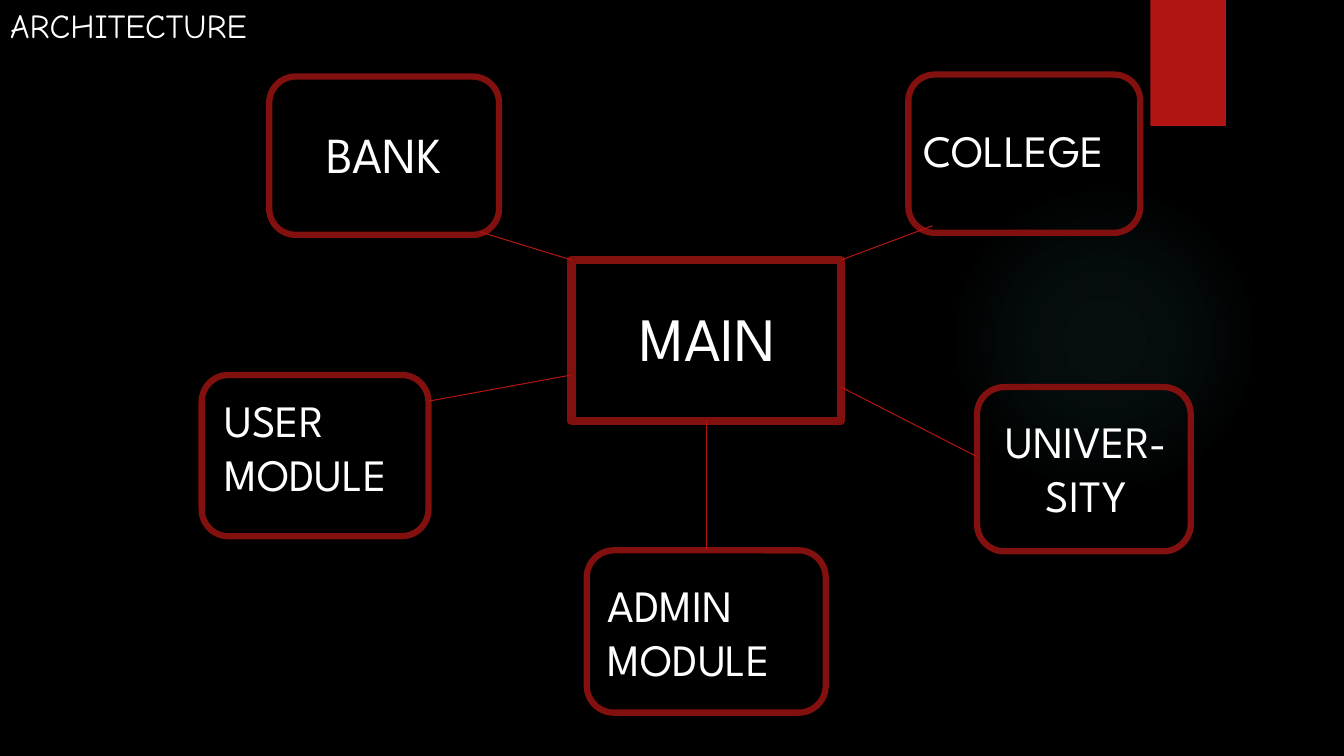
from dataclasses import dataclass

from lxml import etree
from pptx import Presentation
from pptx.dml.color import RGBColor as RGB
from pptx.enum.shapes import MSO_CONNECTOR as CONN, MSO_SHAPE as SHAPE
from pptx.enum.text import MSO_ANCHOR as ANCHOR, MSO_AUTO_SIZE as AUTO, PP_ALIGN as ALIGN
from pptx.oxml import parse_xml
from pptx.oxml.ns import nsdecls, qn
from pptx.util import Inches, Pt


@dataclass(frozen=True)
class Theme:
    background: str = "000000"
    text: str = "FFFFFF"
    accent: str = "B01513"
    border: str = "82100E"
    glow: str = "50B9C1"
    title_font: str = "Comic Neue"
    label_font: str = "League Spartan"
    title_size: int = 24
    label_size: int = 32
    bank_size: int = 36
    main_size: int = 44
    node_line: float = 4.5
    main_line: float = 6
    link_line: float = 0.75


def write_text(tf, text, *, font, size, color, align=ALIGN.LEFT):
    tf.word_wrap = True
    tf.auto_size = AUTO.SHAPE_TO_FIT_TEXT
    tf.vertical_anchor = ANCHOR.TOP
    p = tf.paragraphs[0]
    p.alignment = align
    r = p.add_run()
    r.text = text
    r.font.name = font
    r.font.size = Pt(size)
    r.font.color.rgb = RGB.from_string(color)


class Diagram:
    def __init__(self, prs, theme):
        self.theme = theme
        self.slide = prs.slides.add_slide(prs.slide_layouts[5])
        fill = self.slide.background.fill
        fill.solid()
        fill.fore_color.rgb = RGB.from_string(theme.background)

    def shape(self, kind, box):
        sp = self.slide.shapes.add_shape(kind, *map(Inches, box))
        sp.shadow.inherit = False
        sp.fill.background()
        sp.line.fill.background()
        return sp

    def title(self, text, box):
        sp = self.slide.shapes.title
        sp.left, sp.top, sp.width, sp.height = map(Inches, box)
        write_text(sp.text_frame, text, font=self.theme.title_font,
                   size=self.theme.title_size, color=self.theme.text)

    def glow(self, box, stops):
        sp = self.shape(SHAPE.OVAL, box)
        marks = "".join(
            f'<a:gs pos="{pos * 1000}"><a:srgbClr val="{self.theme.glow}">'
            f'<a:alpha val="{alpha * 1000}"/></a:srgbClr></a:gs>'
            for pos, alpha in stops)
        grad = parse_xml(
            f'<a:gradFill {nsdecls("a")} rotWithShape="1"><a:gsLst>{marks}</a:gsLst>'
            '<a:path path="circle"><a:fillToRect l="50000" t="50000" r="50000" b="50000"/>'
            '</a:path></a:gradFill>')
        sp_pr = sp.element.spPr
        sp_pr.replace(sp_pr.find(qn("a:noFill")), grad)

    def ribbon(self, box):
        sp = self.shape(SHAPE.RECTANGLE, box)
        sp.fill.solid()
        sp.fill.fore_color.rgb = RGB.from_string(self.theme.accent)
        effects = sp.element.spPr.find(qn("a:effectLst"))
        effects.append(parse_xml(
            f'<a:outerShdw {nsdecls("a")} blurRad="{Pt(3)}" dist="{Pt(2)}" dir="5400000" '
            'rotWithShape="0"><a:srgbClr val="000000"><a:alpha val="45000"/></a:srgbClr>'
            '</a:outerShdw>'))

    def node(self, box, *, kind=SHAPE.ROUNDED_RECTANGLE, weight=None):
        sp = self.shape(kind, box)
        sp.line.color.rgb = RGB.from_string(self.theme.border)
        sp.line.width = Pt(weight or self.theme.node_line)
        return sp

    def link(self, start, end):
        line = self.slide.shapes.add_connector(CONN.STRAIGHT, *map(Inches, start + end))
        line.line.color.rgb = RGB.from_string(self.theme.accent)
        line.line.width = Pt(self.theme.link_line)
        etree.SubElement(line.element.spPr, qn("a:effectLst"))
        return line

    def label(self, text, box, *, size=None, align=ALIGN.LEFT):
        sp = self.slide.shapes.add_textbox(*map(Inches, box))
        write_text(sp.text_frame, text, font=self.theme.label_font,
                   size=size or self.theme.label_size, color=self.theme.text, align=align)


def main():
    prs = Presentation()
    prs.slide_width, prs.slide_height = Inches(13.33), Inches(7.5)
    theme = Theme()
    diagram = Diagram(prs, theme)

    # Backdrop
    diagram.glow((9.41, 1.83, 3.08, 3.08), [(0, 7), (36, 6), (69, 0)])
    diagram.ribbon((11.41, 0, 0.75, 1.25))
    diagram.title("ARCHITECTURE", (0, 0, 3.68, 0.5))

    # Nodes
    hub = diagram.node((5.67, 2.58, 2.67, 1.6), kind=SHAPE.RECTANGLE, weight=theme.main_line)
    for box in [(2.67, 0.76, 2.28, 1.57),   # bank
                (2, 3.72, 2.25, 1.6),       # user module
                (9.01, 0.74, 2.3, 1.57),    # college
                (9.69, 3.84, 2.12, 1.63)]:  # university
        diagram.node(box)
    admin = diagram.node((5.82, 5.46, 2.37, 1.61))

    # Links
    for start, end in [((4.76, 2.3), (5.67, 2.58)),
                       ((8.34, 2.58), (9.25, 2.24)),
                       ((4.25, 3.98), (5.67, 3.72)),
                       ((8.34, 3.84), (9.69, 4.53))]:
        diagram.link(start, end)
    admin_link = diagram.link((7.02, 5.46), (7.01, 4.18))
    admin_link.begin_connect(admin, 0)
    admin_link.end_connect(hub, 2)

    # Labels
    diagram.label("MAIN", (6.04, 2.93, 1.96, 0.84), size=theme.main_size, align=ALIGN.CENTER)
    diagram.label("BANK", (2.99, 1.17, 1.64, 0.71), size=theme.bank_size, align=ALIGN.CENTER)
    diagram.label("COLLEGE", (9.06, 1.17, 2.25, 0.64))
    diagram.label("USER MODULE", (2.13, 3.85, 2.07, 1.18))
    diagram.label("ADMIN MODULE", (5.93, 5.68, 2.15, 1.18))
    diagram.label("UNIVER-SITY", (9.74, 4.06, 2.07, 1.18), align=ALIGN.CENTER)

    prs.save("out.pptx")


if __name__ == "__main__":
    main()
